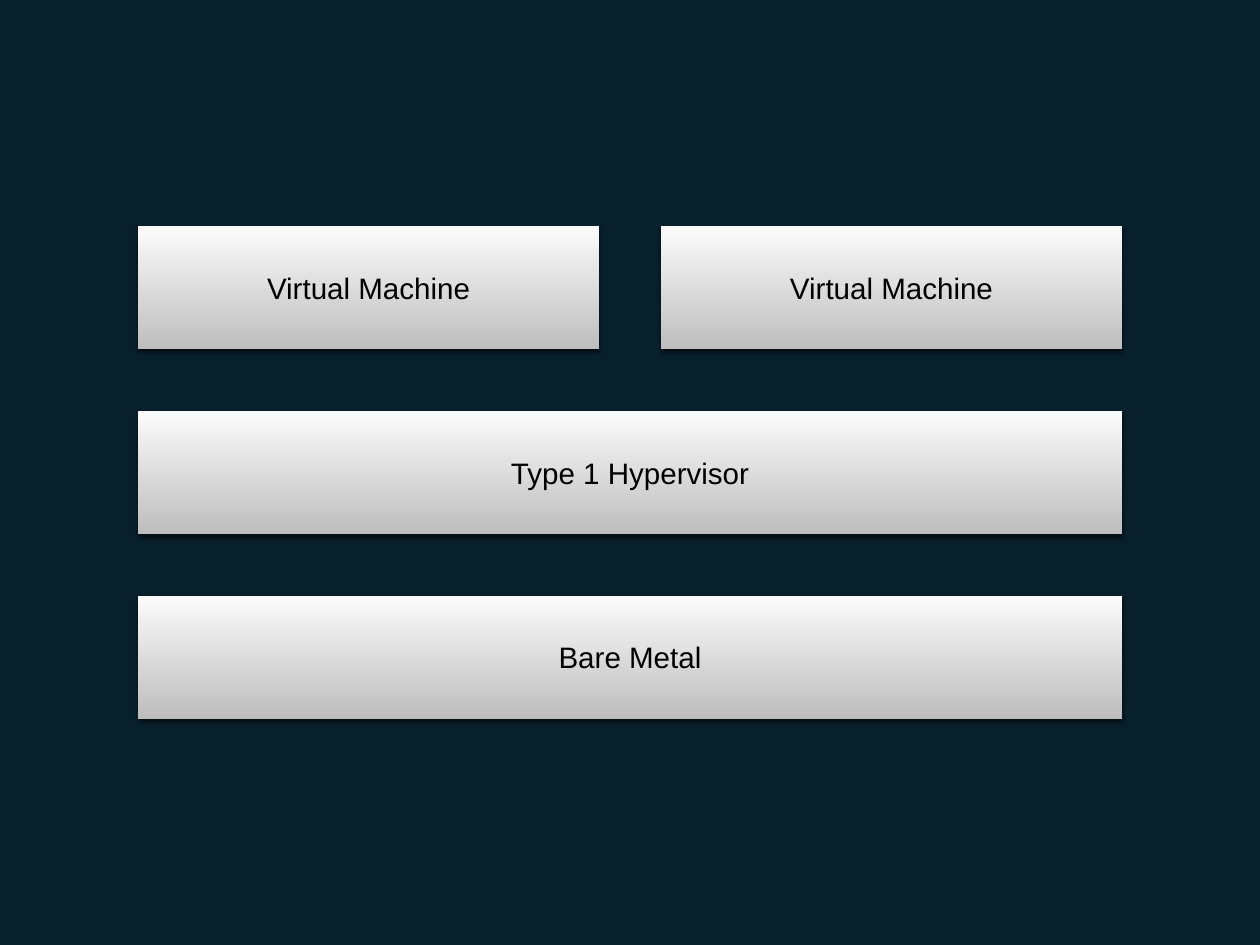
from lxml.etree import SubElement
from pptx import Presentation
from pptx.dml.color import RGBColor
from pptx.enum.shapes import MSO_SHAPE as Shape
from pptx.enum.text import MSO_ANCHOR as Anchor, PP_ALIGN as Align
from pptx.oxml.ns import qn
from pptx.util import Pt

NAVY = RGBColor(0x08, 0x1F, 0x2C)
PALE = RGBColor(0xFB, 0xFB, 0xFB)
GREY = RGBColor(0xBE, 0xBE, 0xBE)
BLACK = RGBColor(0, 0, 0)

GAP = Pt(50)
LAYERS = [
    ["Virtual Machine", "Virtual Machine"],
    ["Type 1 Hypervisor"],
    ["Bare Metal"],
]


def add_soft_shadow(box):
    """Give the box a half-transparent shadow that falls straight down."""
    box.shadow.inherit = False
    effects = box._element.spPr.find(qn("a:effectLst"))
    shadow = SubElement(effects, qn("a:outerShdw"), blurRad=str(Pt(3)),
                        dist=str(Pt(2)), dir="5400000", rotWithShape="0")
    color = SubElement(shadow, qn("a:srgbClr"), val=str(BLACK))
    SubElement(color, qn("a:alpha"), val="50000")


def add_block(page, label, left, top, width, height):
    """Draw one labelled block with a vertical gradient."""
    box = page.shapes.add_shape(Shape.RECTANGLE, left, top, width, height)
    box.fill.gradient()
    box.fill.gradient_angle = 270
    for stop, color in zip(box.fill.gradient_stops, (PALE, GREY)):
        stop.color.rgb = color
    box.line.fill.background()
    add_soft_shadow(box)

    frame = box.text_frame
    frame.word_wrap = True
    frame.vertical_anchor = Anchor.MIDDLE
    frame.margin_left = frame.margin_right = Pt(4)
    frame.margin_top = frame.margin_bottom = Pt(4)
    para = frame.paragraphs[0]
    para.text = label
    para.alignment = Align.CENTER
    para.font.name = "Arial"
    para.font.size = Pt(24)
    para.font.color.rgb = BLACK


def add_stack(page, left, top, width, height):
    """Stack the layers in the given box, sharing each row equally."""
    row_height = (height - GAP * (len(LAYERS) - 1)) // len(LAYERS)
    for row, labels in enumerate(LAYERS):
        block_width = (width - GAP * (len(labels) - 1)) // len(labels)
        for column, label in enumerate(labels):
            add_block(page, label, left + column * (block_width + GAP),
                      top + row * (row_height + GAP), block_width, row_height)


def main():
    """Build the virtualization slide and save it."""
    deck = Presentation()
    deck.slide_width, deck.slide_height = Pt(1024), Pt(768)
    page = deck.slides.add_slide(deck.slide_layouts[6])
    page.background.fill.solid()
    page.background.fill.fore_color.rgb = NAVY
    add_stack(page, Pt(112), Pt(184), Pt(800), Pt(400))
    deck.save("out.pptx")


if __name__ == "__main__":
    main()
